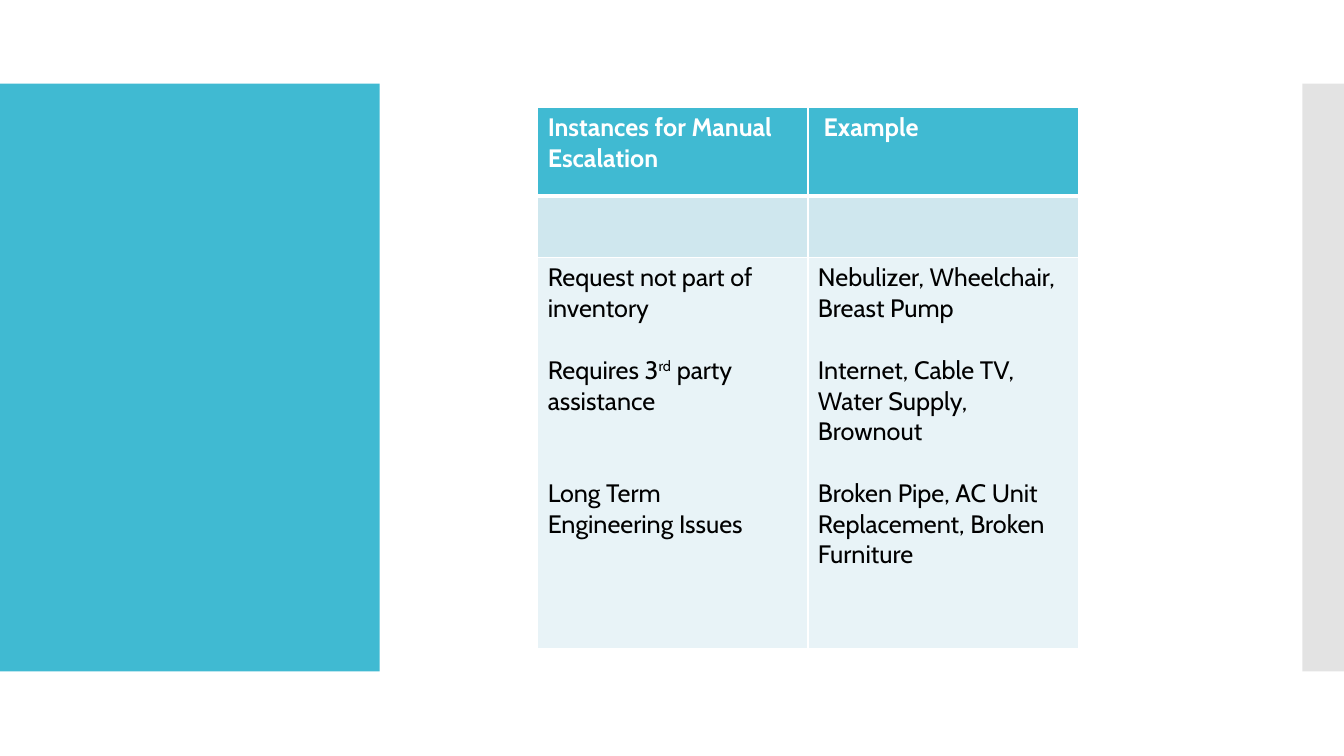
"""Build a slide with two side bands and a table of manual escalation cases."""
from lxml import etree
from pptx import Presentation
from pptx import util as u
from pptx.dml.color import RGBColor
from pptx.enum import shapes
from pptx.oxml import ns

TEAL = RGBColor(0x40, 0xBA, 0xD2)
GREY = RGBColor(0xC8, 0xC8, 0xC8)
PALE = RGBColor(0xCF, 0xE7, 0xEE)
MIST = RGBColor(0xE8, 0xF3, 0xF7)
WHITE = RGBColor(0xFF, 0xFF, 0xFF)
BLACK = RGBColor(0, 0, 0)
LINE = 22

ROWS = [
    (2.24, TEAL, {"bold": True}, WHITE,
     [[(0, "Instances for Manual Escalation")], [(0, " Example")]]),
    (1.55, PALE, {"bold": False}, BLACK, [[(0, "")], [(0, "")]]),
    (9.86, MIST, {"bold": False}, BLACK, [
        [(0, "Request not part of inventory"),
         (1, "Requires 3^rd^ party assistance"),
         (2, "Long Term\vEngineering Issues")],
        [(0, "Nebulizer, Wheelchair, Breast Pump"),
         (1, "Internet, Cable TV, Water Supply, Brownout"),
         (1, "Broken Pipe, AC Unit Replacement, Broken Furniture")],
    ]),
]


def edge(cell, side, width):
    line = etree.SubElement(cell._tc.get_or_add_tcPr(), ns.qn("a:ln" + side), w=str(u.Pt(width)))
    fill = etree.SubElement(line, ns.qn("a:solidFill"))
    etree.SubElement(fill, ns.qn("a:srgbClr"), val=str(WHITE))


deck = Presentation()
deck.slide_width, deck.slide_height = u.Cm(33.87), u.Cm(19.05)
slide = deck.slides.add_slide(deck.slide_layouts[6])

for left, width, color, alpha in [(0, 9.57, TEAL, 100), (32.82, 1.05, GREY, 50)]:
    band = slide.shapes.add_shape(shapes.MSO_SHAPE.RECTANGLE,
                                  u.Cm(left), u.Cm(2.11), u.Cm(width), u.Cm(14.81))
    band.shadow.inherit = False
    band.fill.solid()
    band.fill.fore_color.rgb = color
    band.line.fill.background()
    if alpha < 100:
        tint = band._element.spPr.find(ns.qn("a:solidFill"))[0]
        etree.SubElement(tint, ns.qn("a:alpha"), val=str(alpha * 1000))

table = slide.shapes.add_table(3, 2, u.Cm(13.55), u.Cm(2.7), u.Cm(13.62), u.Cm(13.65)).table
for col in table.columns:
    col.width = u.Cm(6.81)

for r, (height, shade, style, ink, texts) in enumerate(ROWS):
    table.rows[r].height = u.Cm(height)
    for c, lines in enumerate(texts):
        cell = table.cell(r, c)
        for side in "LRTB":
            head = (r, side) in [(0, "B"), (1, "T")]
            edge(cell, side, 3 if head else 1)
        cell.fill.solid()
        cell.fill.fore_color.rgb = shade
        frame = cell.text_frame
        for n, (gap, words) in enumerate(lines):
            para = frame.add_paragraph() if n else frame.paragraphs[0]
            para.space_before = u.Pt(gap * LINE)
            para.font.size = u.Pt(18)
            for part, piece in enumerate(words.split("^")):
                for k, bit in enumerate(piece.split("\v")):
                    if k:
                        para.add_line_break()
                    if not bit:
                        continue
                    run = para.add_run()
                    run.text = bit
                    for name, value in {"name": "Cabin", "size": u.Pt(18), **style}.items():
                        setattr(run.font, name, value)
                    run.font.color.rgb = ink
                    if part % 2:
                        run._r.get_or_add_rPr().set("baseline", "30000")

deck.save("out.pptx")
